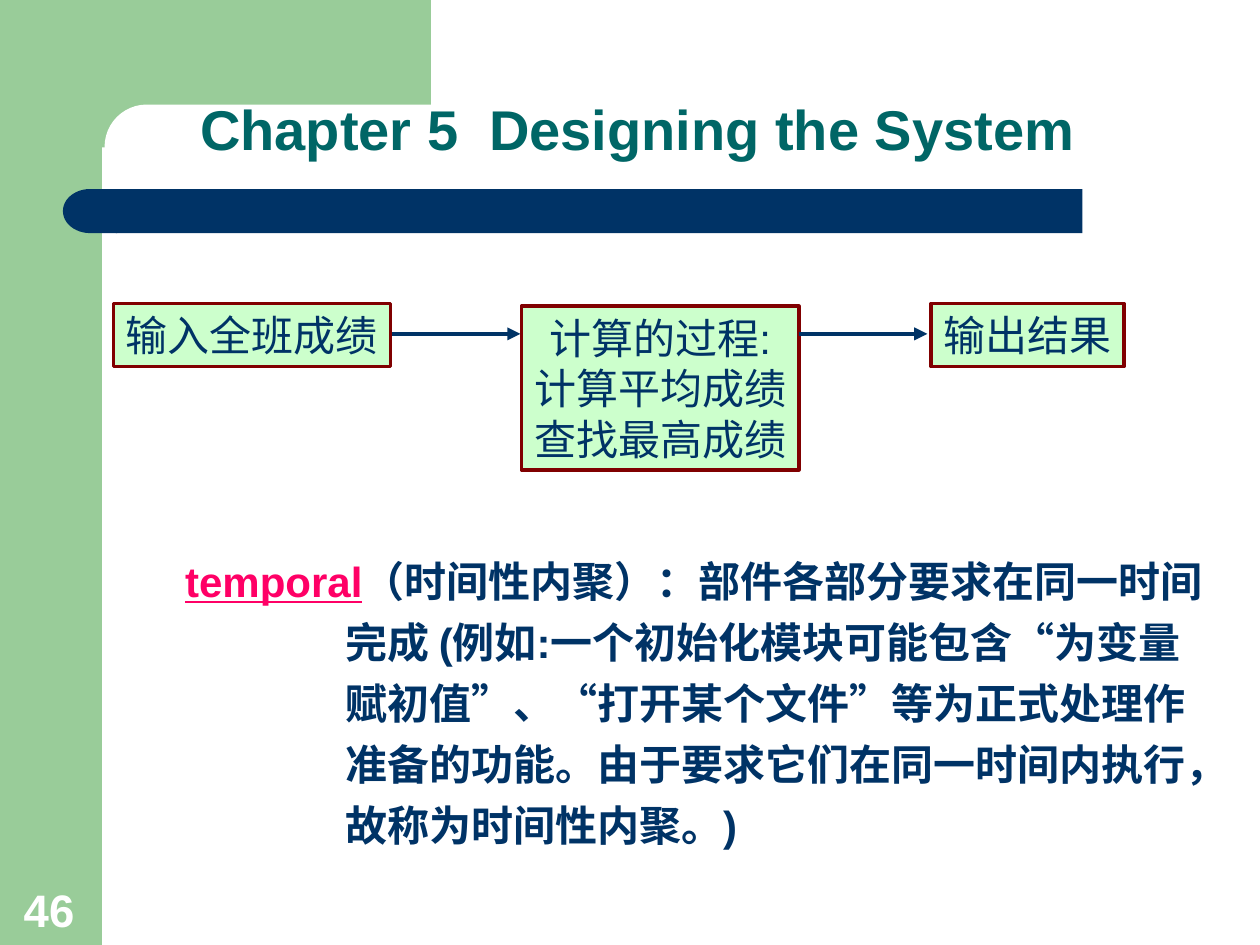
from lxml.etree import SubElement
from pptx import Presentation
from pptx.dml.color import RGBColor
from pptx.enum.shapes import MSO_CONNECTOR, MSO_SHAPE
from pptx.enum.text import MSO_ANCHOR, PP_ALIGN
from pptx.oxml.ns import qn
from pptx.util import Inches, Pt

GREEN = RGBColor(0x99, 0xCC, 0x99)
PALE_GREEN = RGBColor(0xCC, 0xFF, 0xCC)
NAVY = RGBColor(0x00, 0x33, 0x66)
TEAL = RGBColor(0x00, 0x66, 0x66)
MAROON = RGBColor(0x80, 0x00, 0x00)
PINK = RGBColor(0xFF, 0x00, 0x66)
WHITE = RGBColor(0xFF, 0xFF, 0xFF)

# Content
TITLE = "Chapter 5  Designing the System"
PAGE = "46"
TERM = "temporal"
DEFINITION = [
    "（时间性内聚）：部件各部分要求在同一时间",
    "完成 (例如:一个初始化模块可能包含“为变量",
    "赋初值”、“打开某个文件”等为正式处理作",
    "准备的功能。由于要求它们在同一时间内执行，",
    "故称为时间性内聚。)",
]
STEPS = [  # lines, (left, top, width, height)
    (["输入全班成绩"], (0.9, 2.41, 2.2, 0.5)),
    (["计算的过程:", "计算平均成绩", "查找最高成绩"], (4.14, 2.43, 2.2, 1.3)),
    (["输出结果"], (7.39, 2.41, 1.53, 0.5)),
]
ARROW_STARTS, ARROW_LENGTH, ARROW_Y = (3.11, 6.34), 1.02, 2.65
BACKDROP = [  # preset, box, fill, corner radius
    (MSO_SHAPE.RECTANGLE, (0, 0, 0.81, 7.5), GREEN, None),
    (MSO_SHAPE.RECTANGLE, (0.73, 0, 2.69, 1.17), GREEN, None),
    (MSO_SHAPE.ROUNDED_RECTANGLE, (0.83, 0.83, 5.58, 0.67), WHITE, 0.5),
    (MSO_SHAPE.RECTANGLE, (0.92, 1.5, 7.67, 0.35), NAVY, None),
]
BAR_CAP = (0.5, 1.5, 0.43, 0.35)
HANGING = Inches(1.27)

prs = Presentation()
prs.slide_width, prs.slide_height = Inches(10), Inches(7.5)
slide = prs.slides.add_slide(prs.slide_layouts[6])


def inches(box):
    return [Inches(length) for length in box]


def add_panel(preset, box, fill):
    panel = slide.shapes.add_shape(preset, *inches(box))
    panel.shadow.inherit = False
    panel.fill.solid()
    panel.fill.fore_color.rgb = fill
    panel.line.fill.background()
    return panel


def style(font, size, color, bold=True):
    font.name, font.size, font.bold = "Arial", Pt(size), bold
    font.color.rgb = color


def add_label(box, text, size, color):
    frame = slide.shapes.add_textbox(*inches(box)).text_frame
    frame.word_wrap = True
    frame.vertical_anchor = MSO_ANCHOR.BOTTOM
    frame.text = text
    style(frame.paragraphs[0].font, size, color)
    return frame


# Backdrop
for preset, box, fill, radius in BACKDROP:
    panel = add_panel(preset, box, fill)
    if radius is not None:
        panel.adjustments[0] = radius
bar_cap = add_panel(MSO_SHAPE.FLOWCHART_DELAY, BAR_CAP, NAVY)
bar_cap._element.spPr.find(qn("a:xfrm")).set("flipH", "1")

# Page number and title
add_label((0.09, 6.94, 0.64, 0.54), PAGE, 26, WHITE)
title = add_label((1.49, 0.42, 8.26, 0.92), TITLE, 32, TEAL)
title.paragraphs[0].line_spacing = 0.9

# Definition: the term, then lines hanging under its explanation
definition = slide.shapes.add_textbox(*inches((1.47, 4.41, 8.53, 2.5))).text_frame
definition.word_wrap = True
definition.margin_left = definition.margin_right = 0
definition.margin_top = definition.margin_bottom = 0
for index, line in enumerate(DEFINITION):
    paragraph = definition.paragraphs[0] if index == 0 else definition.add_paragraph()
    style(paragraph.font, 24, NAVY)
    if index == 0:
        term = paragraph.add_run()
        term.text = TERM
        term.font.underline = True
        term.font.color.rgb = PINK
    else:
        paragraph.space_before = Pt(6)
        paragraph._p.get_or_add_pPr().set("marL", str(HANGING))
    # Curly quotes have a serif face
    for part in line.replace("“", "|“|").replace("”", "|”|").split("|"):
        if part:
            run = paragraph.add_run()
            run.text = part
            if part in "“”":
                run.font.name = "Times New Roman"

# Process steps
for lines, box in STEPS:
    step = add_panel(MSO_SHAPE.RECTANGLE, box, PALE_GREEN)
    step.line.color.rgb = MAROON
    step.line.width = Pt(2)
    frame = step.text_frame
    frame.word_wrap = False
    frame.vertical_anchor = MSO_ANCHOR.TOP
    frame.text = "\n".join(lines)
    for paragraph in frame.paragraphs:
        paragraph.alignment = PP_ALIGN.CENTER
        style(paragraph.font, 24, NAVY, bold=False)

# Arrows between steps
for start in ARROW_STARTS:
    arrow = slide.shapes.add_connector(
        MSO_CONNECTOR.STRAIGHT,
        *inches((start, ARROW_Y, start + ARROW_LENGTH, ARROW_Y)))
    arrow.line.color.rgb = NAVY
    arrow.line.width = Pt(2.5)
    SubElement(arrow.line._get_or_add_ln(), qn("a:tailEnd"), type="triangle")
    SubElement(arrow._element.spPr, qn("a:effectLst"))

prs.save("out.pptx")
